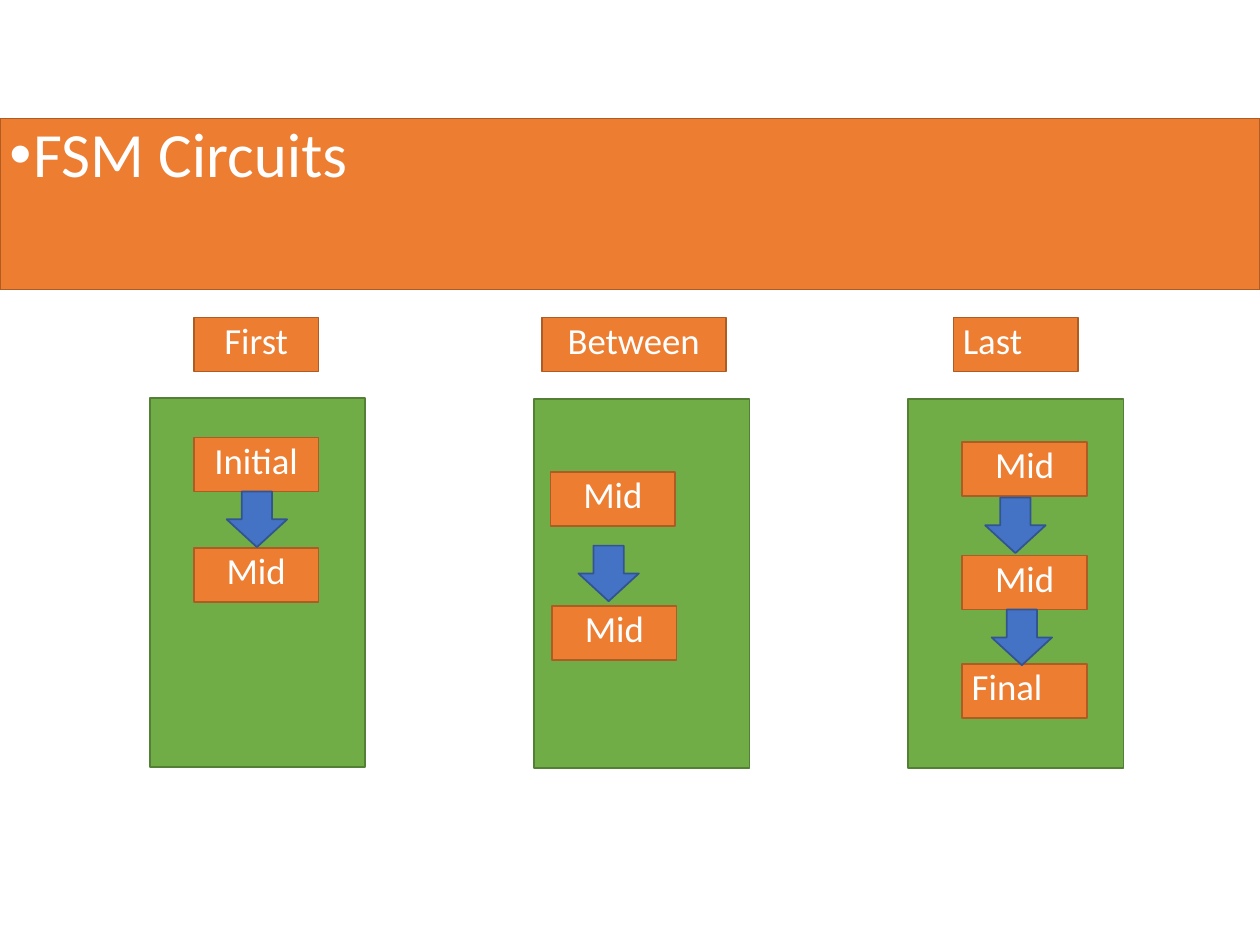
from pptx import Presentation
from pptx.dml.color import RGBColor
from pptx.enum.shapes import MSO_SHAPE
from pptx.enum.text import MSO_ANCHOR, PP_ALIGN
from pptx.oxml.ns import qn
from pptx.util import Cm, Pt
from lxml.etree import SubElement

ORANGE, GREEN, BLUE = ("ED7D31", "AF5C24"), ("70AD47", "538035"), ("4472C4", "325491")
BOX_W, BOX_H = 2.51, 1.09
ARROW_W, ARROW_H = 1.22, 1.12
PANEL_W, PANEL_H = 4.34, 7.44
LABEL_TOP = 6.4
LEFT, CENTER = PP_ALIGN.LEFT, PP_ALIGN.CENTER

# Positions of labels, states and arrows are offsets from the panel's corner.
STAGES = [
    dict(panel=(3.02, 8.03), label=("First", 0.89, BOX_W, CENTER),
         states=[("Initial", 0.89, 0.79, CENTER), ("Mid", 0.89, 3.02, CENTER)],
         arrows=[(1.55, 1.88)]),
    dict(panel=(10.77, 8.05), label=("Between", 0.15, 3.71, CENTER),
         states=[("Mid", 0.33, 1.47, CENTER), ("Mid", 0.36, 4.17, CENTER)],
         arrows=[(0.89, 2.95)]),
    dict(panel=(18.31, 8.05), label=("Last", 0.91, BOX_W, LEFT),
         states=[("Mid", 1.09, 0.86, CENTER), ("Mid", 1.09, 3.15, CENTER),
                 ("Final", 1.09, 5.33, LEFT)],
         arrows=[(1.55, 1.98), (1.68, 4.24)]),
]


def rgb(value):
    return RGBColor.from_string(value)


def add_block(s, x, y, w, h, colors, kind=MSO_SHAPE.RECTANGLE):
    sp = s.shapes.add_shape(kind, Cm(x), Cm(y), Cm(w), Cm(h))
    fill, line = colors
    sp.fill.solid()
    sp.fill.fore_color.rgb = rgb(fill)
    sp.line.color.rgb = rgb(line)
    sp.line.width = Pt(1)
    sp.shadow.inherit = False
    return sp


def add_text_box(s, text, x, y, w, h, align, size=21):
    """Add an orange box with white text at its top and return its paragraph."""
    tf = add_block(s, x, y, w, h, ORANGE).text_frame
    tf.text = text
    tf.word_wrap = True
    tf.vertical_anchor = MSO_ANCHOR.TOP
    tf.margin_left = tf.margin_right = Cm(0.19)
    tf.margin_top = tf.margin_bottom = Cm(0.1)
    p = tf.paragraphs[0]
    p.alignment = align
    p.line_spacing = 0.9
    p.space_before = Pt(7.5)
    font = p.runs[0].font
    font.name, font.size = "Calibri", Pt(size)
    font.color.rgb = rgb("FFFFFF")
    return p


def add_title(s, x, y, w, h):
    p = add_text_box(s, "FSM Circuits", x, y, w, h, LEFT, size=36)
    pPr = p._p.get_or_add_pPr()
    indent = Cm(0.48)
    pPr.set("marL", str(indent))
    pPr.set("indent", str(-indent))
    SubElement(pPr, qn("a:buFont"), typeface="Arial")
    SubElement(pPr, qn("a:buChar"), char="•")


def add_stage(s, panel, label, states, arrows):
    """Add a green panel with its label above and its chain of states inside."""
    left, top = panel
    add_block(s, left, top, PANEL_W, PANEL_H, GREEN)
    text, dx, width, align = label
    add_text_box(s, text, left + dx, LABEL_TOP, width, BOX_H, align)
    for text, dx, dy, align in states:
        add_text_box(s, text, left + dx, top + dy, BOX_W, BOX_H, align)
    for dx, dy in arrows:
        add_block(s, left + dx, top + dy, ARROW_W, ARROW_H, BLUE, MSO_SHAPE.DOWN_ARROW)


def main():
    prs = Presentation()
    prs.slide_width, prs.slide_height = Cm(25.4), Cm(19.05)
    s = prs.slides.add_slide(prs.slide_layouts[6])
    for stage in STAGES:
        add_stage(s, **stage)
    add_title(s, 0, 2.39, 25.4, 3.45)
    prs.save("out.pptx")


if __name__ == "__main__":
    main()
